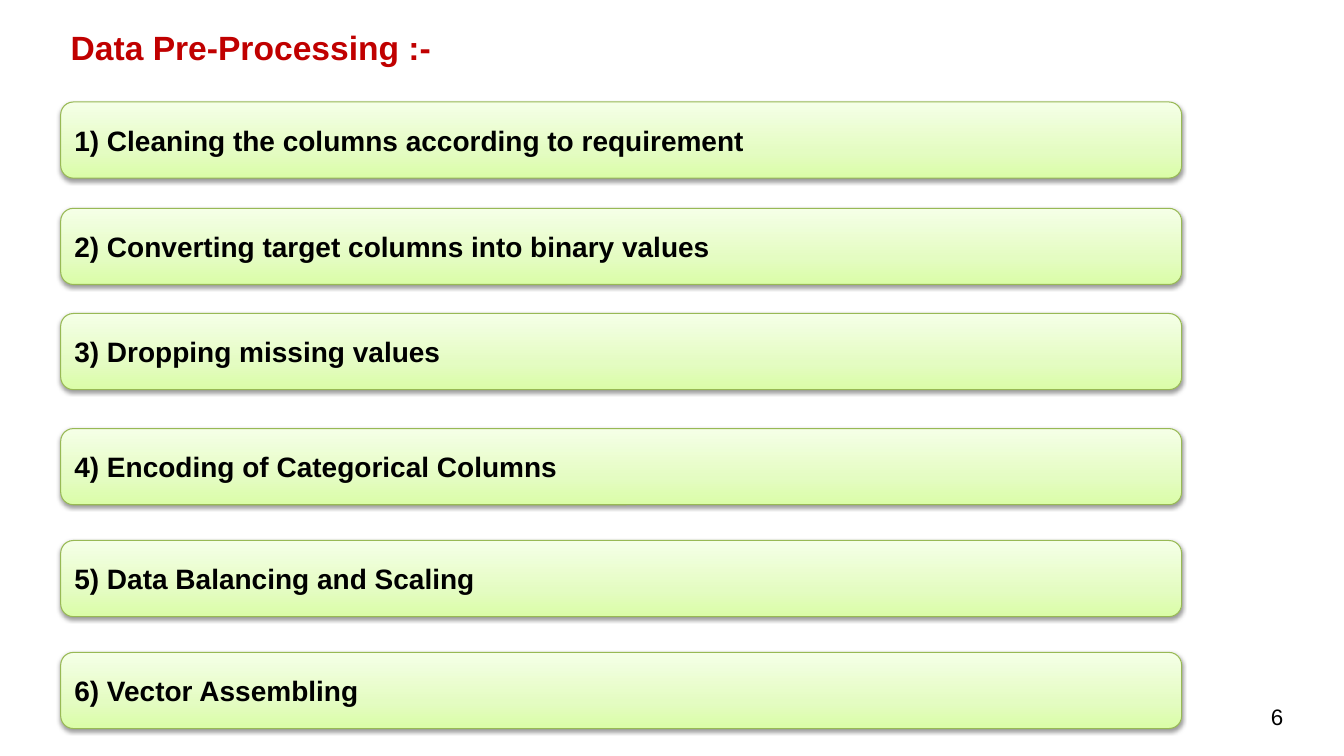
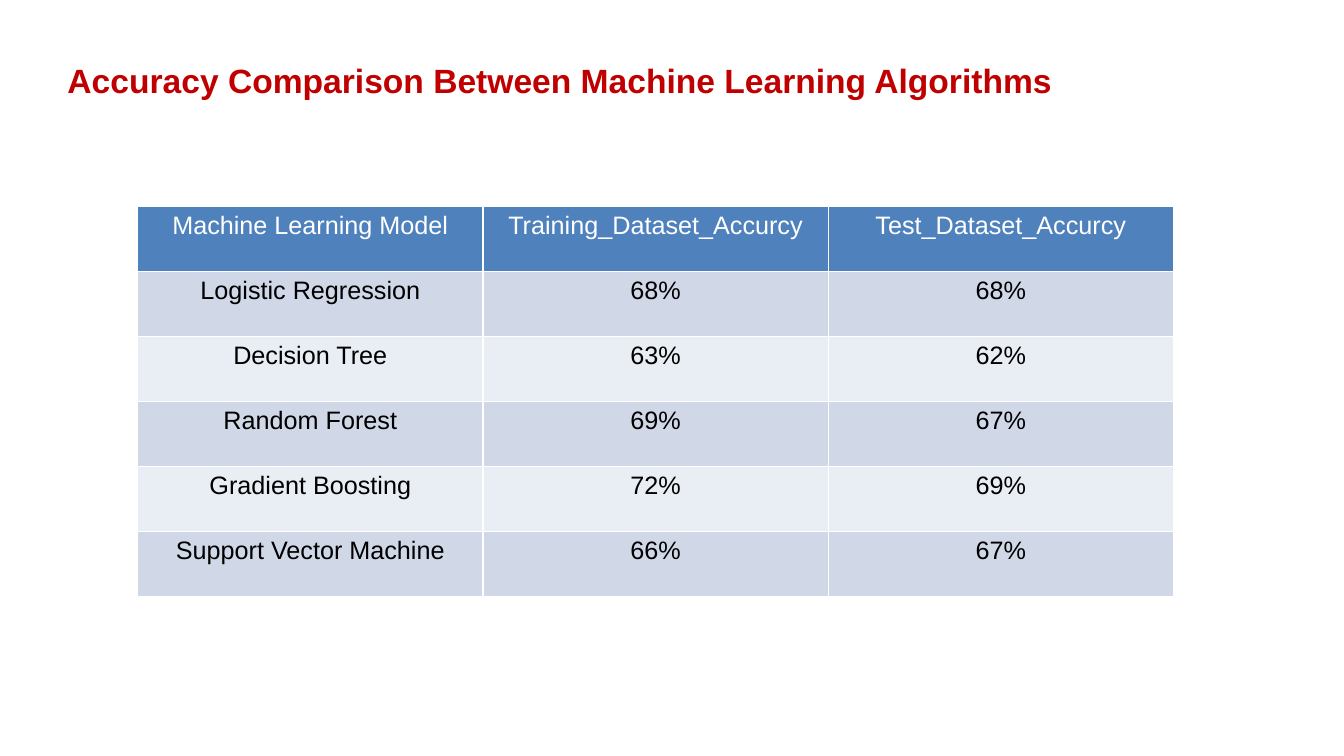
from copy import deepcopy

from pptx import Presentation
from pptx.dml.color import RGBColor
from pptx.enum.shapes import MSO_SHAPE as Shape
from pptx.enum.text import MSO_ANCHOR as Anchor, MSO_AUTO_SIZE as AutoSize, PP_ALIGN as Align
from pptx.oxml import parse_xml
from pptx.oxml.ns import nsdecls, qn
from pptx.util import Cm, Pt

FONT = "Arial"
COLORS = {
    "title": "C00000",
    "text": "000000",
    "white": "FFFFFF",
    "bar_line": "98B955",
    "header": "4F81BD",
    "odd_row": "D0D8E8",
    "even_row": "E9EDF4",
}
BAR_GRADIENT = [(0, "DAFDA7"), (0.35, "E4FCC2"), (1, "F5FFE7")]


def add_run(paragraph, text, size, color, bold=False):
    run = paragraph.add_run()
    run.text = text
    run.font.name = FONT
    run.font.size = Pt(size)
    run.font.bold = bold
    run.font.color.rgb = RGBColor.from_string(COLORS[color])


def add_titled_slide(text, left, top):
    slide = presentation.slides.add_slide(presentation.slide_layouts[5])
    title = slide.shapes.title
    title.left, title.top, title.width, title.height = left, top, Cm(30), Cm(1.27)
    frame = title.text_frame
    frame.margin_left = frame.margin_right = frame.margin_top = frame.margin_bottom = 0
    frame.vertical_anchor = Anchor.MIDDLE
    frame.auto_size = AutoSize.NONE
    frame.word_wrap = True
    paragraph = frame.paragraphs[0]
    paragraph.alignment = Align.LEFT
    add_run(paragraph, text, 24, "title", bold=True)
    return slide


presentation = Presentation()
presentation.slide_width = Cm(33.87)
presentation.slide_height = Cm(19.05)

# Slide 1: pre-processing steps
slide = add_titled_slide("Data Pre-Processing :-", Cm(1.78), Cm(0.55))

steps = [
    ("Cleaning the columns according to requirement", 2.57),
    ("Converting target columns into binary values", 5.25),
    ("Dropping missing values", 7.9),
    ("Encoding of Categorical Columns", 10.8),
    ("Data Balancing and Scaling", 13.62),
    ("Vector Assembling", 16.44),
]
for number, (step, top) in enumerate(steps, start=1):
    bar = slide.shapes.add_shape(
        Shape.ROUNDED_RECTANGLE, Cm(1.53), Cm(top), Cm(28.25), Cm(1.92))

    bar.fill.gradient()
    bar.fill.gradient_angle = 90
    first_stop = bar._element.spPr.find(".//" + qn("a:gs"))
    first_stop.addnext(deepcopy(first_stop))
    for stop, (position, color) in zip(bar.fill.gradient_stops, BAR_GRADIENT):
        stop.position = position
        stop.color.rgb = RGBColor.from_string(color)

    bar.line.color.rgb = RGBColor.from_string(COLORS["bar_line"])
    bar.line.width = Pt(0.75)

    bar.shadow.inherit = False
    bar._element.spPr.find(qn("a:effectLst")).append(parse_xml(
        f'<a:outerShdw {nsdecls("a")} blurRad="40000" dist="20000" dir="5400000" rotWithShape="0">'
        f'<a:srgbClr val="{COLORS["text"]}"><a:alpha val="38000"/></a:srgbClr></a:outerShdw>'))

    bar.text_frame.vertical_anchor = Anchor.MIDDLE
    bar.text_frame.word_wrap = True
    paragraph = bar.text_frame.paragraphs[0]
    paragraph.alignment = Align.LEFT
    add_run(paragraph, f"{number}) {step}", 20, "text", bold=True)

page_number = slide.shapes.add_textbox(Cm(31.78), Cm(17.6), Cm(1.1), Cm(0.94))
page_number.text_frame.word_wrap = True
add_run(page_number.text_frame.paragraphs[0], "6", 16, "text")

# Slide 2: accuracy table
slide = add_titled_slide(
    "Accuracy Comparison Between Machine Learning Algorithms", Cm(1.7), Cm(1.37))

rows = [
    ("Machine Learning Model", "Training_Dataset_Accurcy", "Test_Dataset_Accurcy"),
    ("Logistic Regression", "68%", "68%"),
    ("Decision Tree", "63%", "62%"),
    ("Random Forest", "69%", "67%"),
    ("Gradient Boosting", "72%", "69%"),
    ("Support Vector Machine", "66%", "67%"),
]
table = slide.shapes.add_table(
    len(rows), len(rows[0]), Cm(3.47), Cm(5.2), Cm(26.1), Cm(9.84)).table
for row_index, row in enumerate(rows):
    if row_index == 0:
        fill_color, text_color = "header", "white"
    else:
        fill_color, text_color = ("odd_row" if row_index % 2 else "even_row"), "text"
    for column_index, text in enumerate(row):
        cell = table.cell(row_index, column_index)
        properties = cell._tc.get_or_add_tcPr()
        for edge in ("lnL", "lnR", "lnT", "lnB"):
            properties.append(parse_xml(
                f'<a:{edge} {nsdecls("a")} w="{Pt(1)}"><a:solidFill>'
                f'<a:srgbClr val="{COLORS["white"]}"/></a:solidFill></a:{edge}>'))
        cell.fill.solid()
        cell.fill.fore_color.rgb = RGBColor.from_string(COLORS[fill_color])
        paragraph = cell.text_frame.paragraphs[0]
        paragraph.alignment = Align.CENTER
        add_run(paragraph, text, 18, text_color)

presentation.save("out.pptx")
